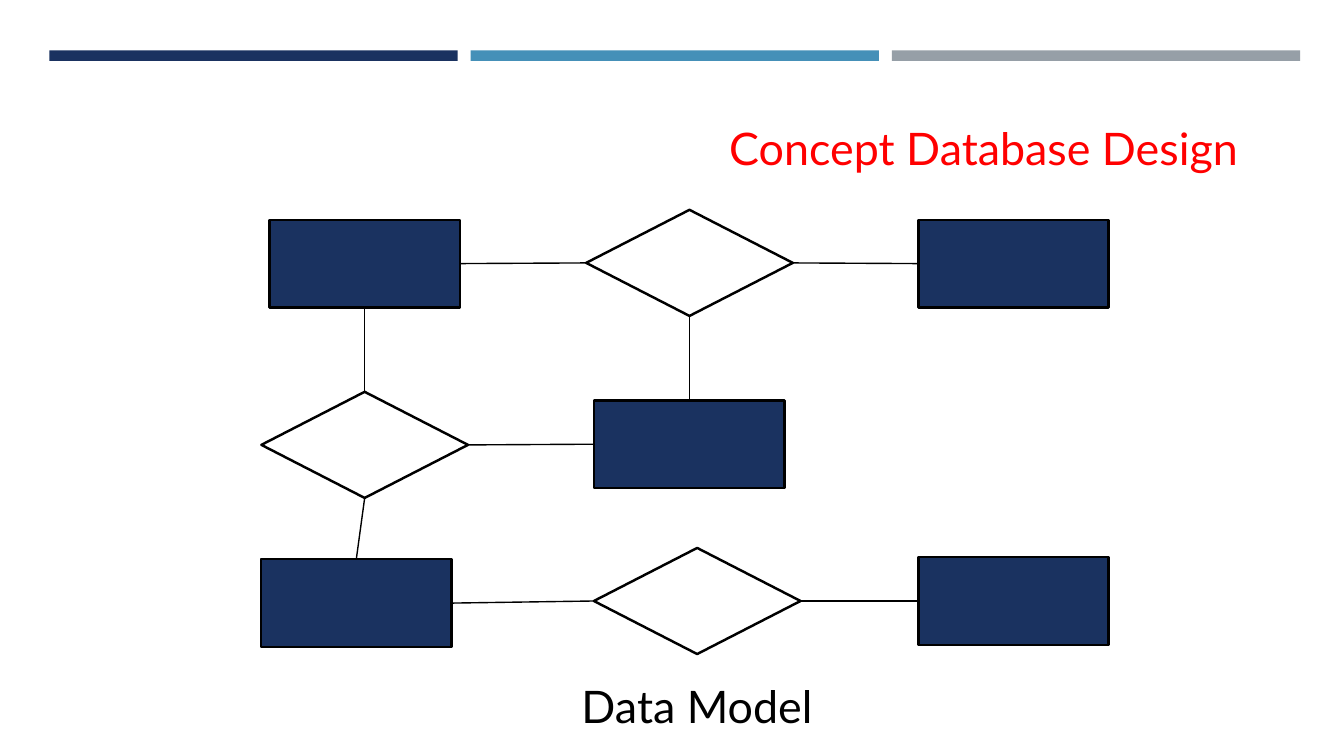
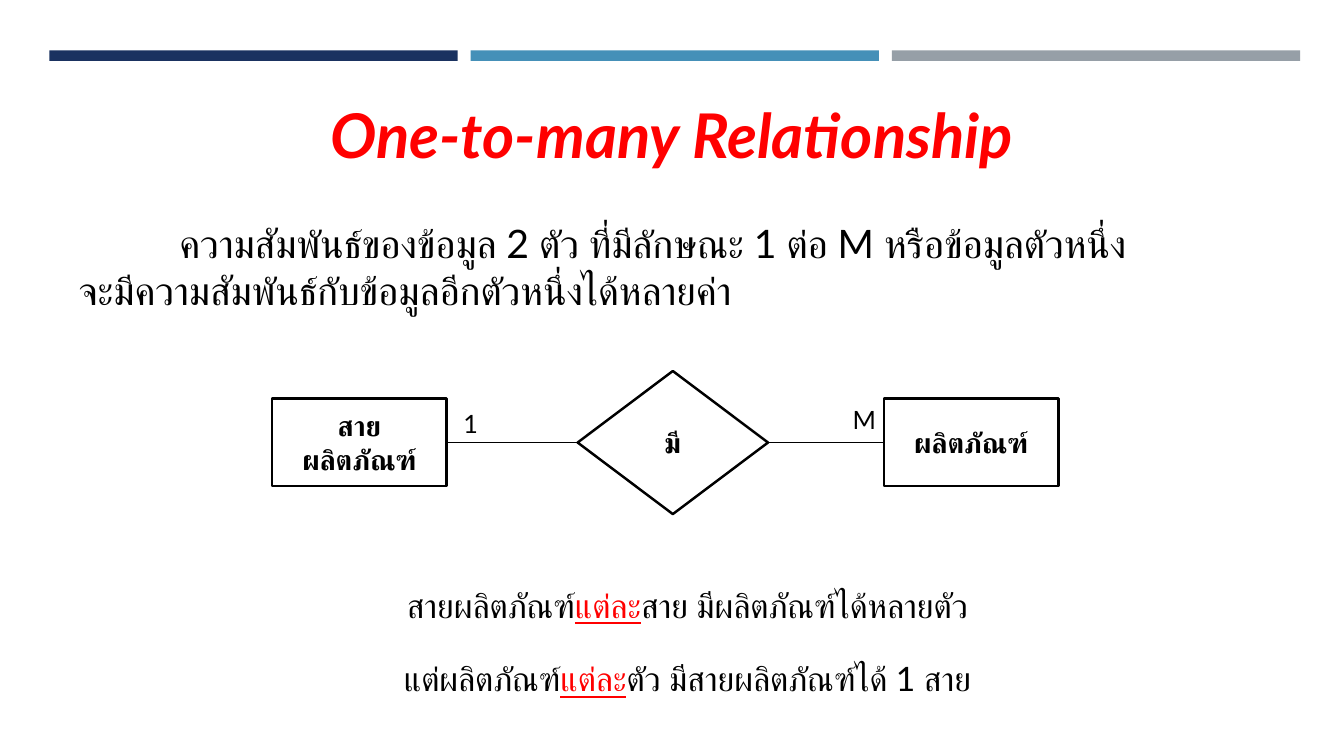
from lxml.etree import SubElement
from pptx import Presentation
from pptx.dml.color import RGBColor
from pptx.enum.shapes import MSO_CONNECTOR, MSO_SHAPE
from pptx.enum.text import MSO_ANCHOR, MSO_AUTO_SIZE, PP_ALIGN
from pptx.oxml.ns import qn
from pptx.util import Pt

COLORS = {
    "navy": "1A3260",
    "blue": "4590B8",
    "gray": "969FA7",
    "red": "FF0000",
    "black": "000000",
    "white": "FFFFFF",
}
FONT = "Lato"
TOP, LEFT, BOTTOM, RIGHT = range(4)  # connection sites of rectangles and diamonds


def color(name):
    return RGBColor.from_string(COLORS[name])


def add_run(paragraph, text, size, color_name="black", **styles):
    run = paragraph.add_run()
    run.text = text
    run.font.name = FONT
    run.font.size = Pt(size)
    run.font.color.rgb = color(color_name)
    for style, value in styles.items():
        setattr(run.font, style, value)


def add_text(slide, box, runs, size, align=PP_ALIGN.LEFT):
    """Add a text box with one paragraph of (text, styles) runs."""
    shape = slide.shapes.add_textbox(*map(Pt, box))
    shape.text_frame.word_wrap = True
    paragraph = shape.text_frame.paragraphs[0]
    paragraph.alignment = align
    for text, styles in runs:
        add_run(paragraph, text, size, **styles)
    return paragraph


def add_bands(slide, layout):
    """Draw the three top bands and move them to the shared layout."""
    left, width, gap = 35.3, 291.6, 9.3
    for index, name in enumerate(("navy", "blue", "gray")):
        band = slide.shapes.add_shape(
            MSO_SHAPE.RECTANGLE,
            Pt(left + index * (width + gap)), Pt(36), Pt(width), Pt(7.5),
        )
        band.shadow.inherit = False
        band.fill.solid()
        band.fill.fore_color.rgb = color(name)
        band.line.fill.background()
        layout.element.cSld.spTree.append(band.element)


def set_title(slide, box, text, size, anchor, **styles):
    title = slide.shapes.title
    title.left, title.top, title.width, title.height = map(Pt, box)
    frame = title.text_frame
    frame.auto_size = MSO_AUTO_SIZE.NONE
    frame.word_wrap = True
    frame.vertical_anchor = anchor
    frame.paragraphs[0].alignment = PP_ALIGN.CENTER
    add_run(frame.paragraphs[0], text, size, "red", **styles)


def add_node(slide, kind, center, size, fill="white", text=""):
    (x, y), (width, height) = center, size
    node = slide.shapes.add_shape(
        kind, Pt(x - width / 2), Pt(y - height / 2), Pt(width), Pt(height)
    )
    node.shadow.inherit = False
    node.fill.solid()
    node.fill.fore_color.rgb = color(fill)
    node.line.color.rgb = color("black")
    node.line.width = Pt(1.75)
    if text:
        frame = node.text_frame
        frame.word_wrap = True
        frame.vertical_anchor = MSO_ANCHOR.MIDDLE
        frame.paragraphs[0].alignment = PP_ALIGN.CENTER
        add_run(frame.paragraphs[0], text, 20, bold=True)
    return node


def connect(slide, start, start_site, end, end_site):
    line = slide.shapes.add_connector(MSO_CONNECTOR.STRAIGHT, 0, 0, 0, 0)
    line.begin_connect(start, start_site)
    line.end_connect(end, end_site)
    line.line.color.rgb = color("black")
    line.line.width = Pt(1)
    SubElement(line.element.spPr, qn("a:effectLst"))


def add_data_model(slide, left, top):
    """Draw the entities and relationships from the region's top left corner."""
    centers = {
        "entity": {
            "top left": (74, 38.5),
            "top right": (537.5, 38.5),
            "middle": (306, 167.5),
            "bottom left": (68, 281),
            "bottom right": (537.5, 279.5),
        },
        "relationship": {
            "top": (306, 38),
            "left": (74, 168),
            "bottom": (311.5, 279.5),
        },
    }
    styles = {
        "entity": (MSO_SHAPE.RECTANGLE, (136, 62.6), "navy"),
        "relationship": (MSO_SHAPE.DIAMOND, (147.6, 75.8), "white"),
    }
    nodes = {}
    for role, places in centers.items():
        kind, size, fill = styles[role]
        for name, (x, y) in places.items():
            nodes[name] = add_node(slide, kind, (left + x, top + y), size, fill)

    for start, start_site, end, end_site in (
        ("top left", RIGHT, "top", LEFT),
        ("top", RIGHT, "top right", LEFT),
        ("top", BOTTOM, "middle", TOP),
        ("top left", BOTTOM, "left", TOP),
        ("left", RIGHT, "middle", LEFT),
        ("left", BOTTOM, "bottom left", TOP),
        ("bottom left", RIGHT, "bottom", LEFT),
        ("bottom", RIGHT, "bottom right", LEFT),
    ):
        connect(slide, nodes[start], start_site, nodes[end], end_site)


def add_one_to_many(slide, left, top):
    """Draw the labelled relationship from the region's top left corner."""
    middle = top + 51.1
    entity_size = (124.6, 62.6)
    product_line = add_node(slide, MSO_SHAPE.RECTANGLE, (left + 62.3, middle),
                            entity_size, text="สายผลิตภัณฑ์")
    product = add_node(slide, MSO_SHAPE.RECTANGLE, (left + 499.3, middle),
                       entity_size, text="ผลิตภัณฑ์")
    has = add_node(slide, MSO_SHAPE.FLOWCHART_DECISION, (left + 286.2, middle),
                   (136, 102.2), text="มี")
    connect(slide, product_line, RIGHT, has, LEFT)
    connect(slide, has, RIGHT, product, LEFT)
    for text, x, y in (("1", 129.6, 23), ("M", 407.5, 20.2)):
        add_text(slide, (left + x, top + y, 33.8, 28.8), [(text, {})], 18)


def add_definition(slide, box):
    paragraph = add_text(
        slide, box,
        [("ความสัมพันธ์ของข้อมูล 2 ตัว ที่มีลักษณะ 1 ต่อ M หรือข้อมูลตัวหนึ่ง", {})], 28,
    )
    paragraph.add_line_break()
    add_run(paragraph, "จะมีความสัมพันธ์กับข้อมูลอีกตัวหนึ่งได้หลายค่า", 28)
    properties = paragraph._p.get_or_add_pPr()
    properties.set("marL", "0")
    properties.set("indent", str(Pt(72)))


def add_conclusions(slide, left, top, width):
    sentences = (
        ("สายผลิตภัณฑ์", "สาย มีผลิตภัณฑ์ได้หลายตัว"),
        ("แต่ผลิตภัณฑ์", "ตัว มีสายผลิตภัณฑ์ได้ 1 สาย"),
    )
    emphasis = ("แต่ละ", {"color_name": "red", "underline": True})
    for index, (before, after) in enumerate(sentences):
        add_text(slide, (left, top + index * 52.5, width, 36),
                 [(before, {}), emphasis, (after, {})], 24, PP_ALIGN.CENTER)


def build_concept_slide(slide):
    set_title(slide, (505.4, 82.8, 394.6, 46), "Concept Database Design", 32,
              MSO_ANCHOR.TOP, bold=False)
    add_data_model(slide, 186.5, 149.8)
    add_text(slide, (381.6, 481, 232.6, 46), [("Data Model", {})], 32,
             PP_ALIGN.CENTER)


def build_relationship_slide(slide):
    set_title(slide, (167.8, 57.6, 624.2, 67.7), "One-to-many Relationship", 44,
              MSO_ANCHOR.BOTTOM, bold=True, italic=True)
    add_definition(slide, (49, 153.4, 860.4, 348.5))
    add_one_to_many(slide, 194.4, 265)
    add_conclusions(slide, 171, 414, 640)


def main():
    presentation = Presentation()
    presentation.slide_width, presentation.slide_height = Pt(960), Pt(540)
    layout = presentation.slide_layouts[5]
    concept = presentation.slides.add_slide(layout)
    add_bands(concept, layout)
    build_concept_slide(concept)
    build_relationship_slide(presentation.slides.add_slide(layout))
    presentation.save("out.pptx")


if __name__ == "__main__":
    main()
